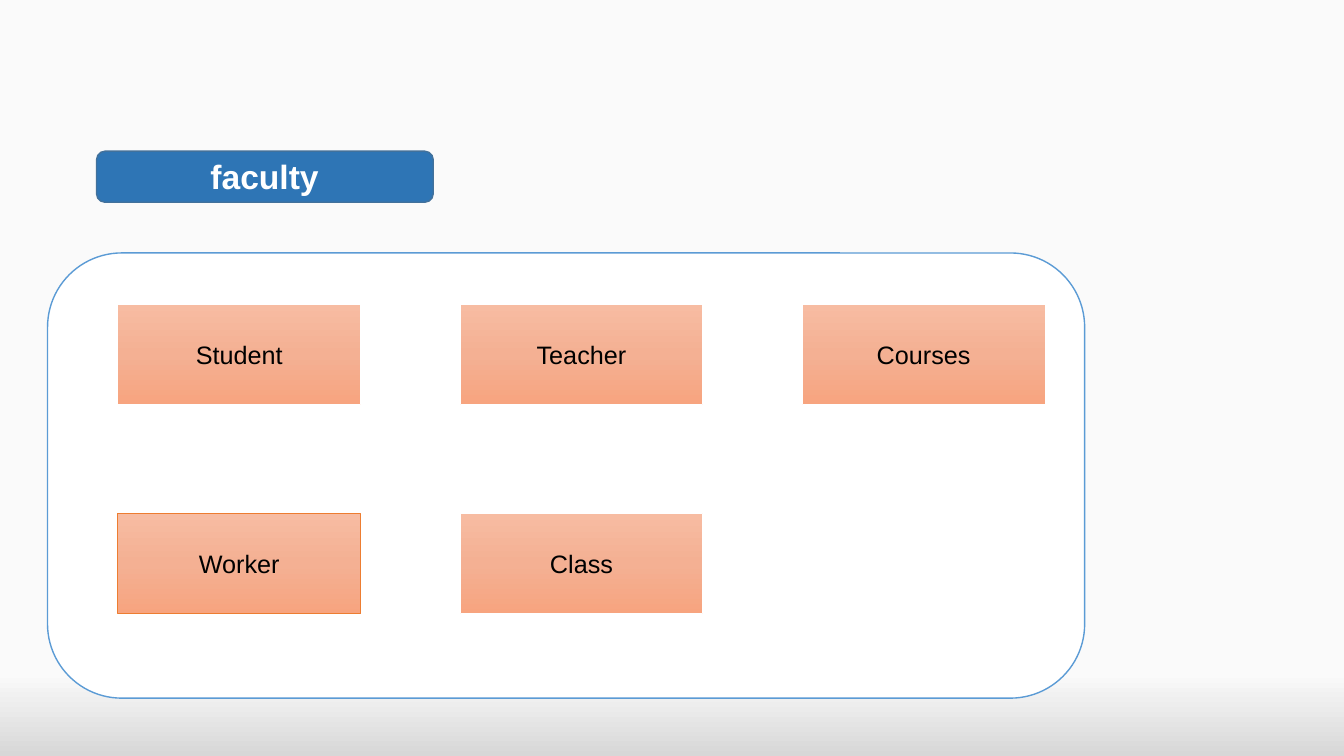
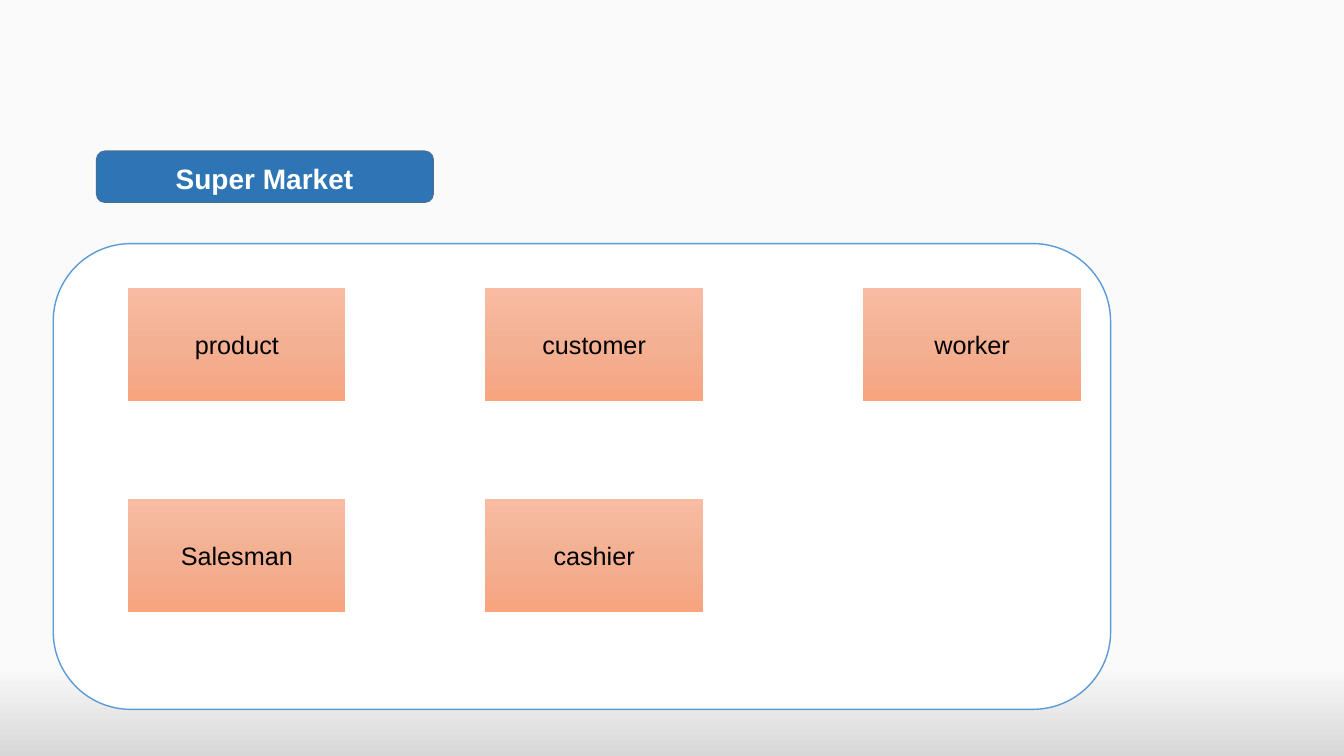
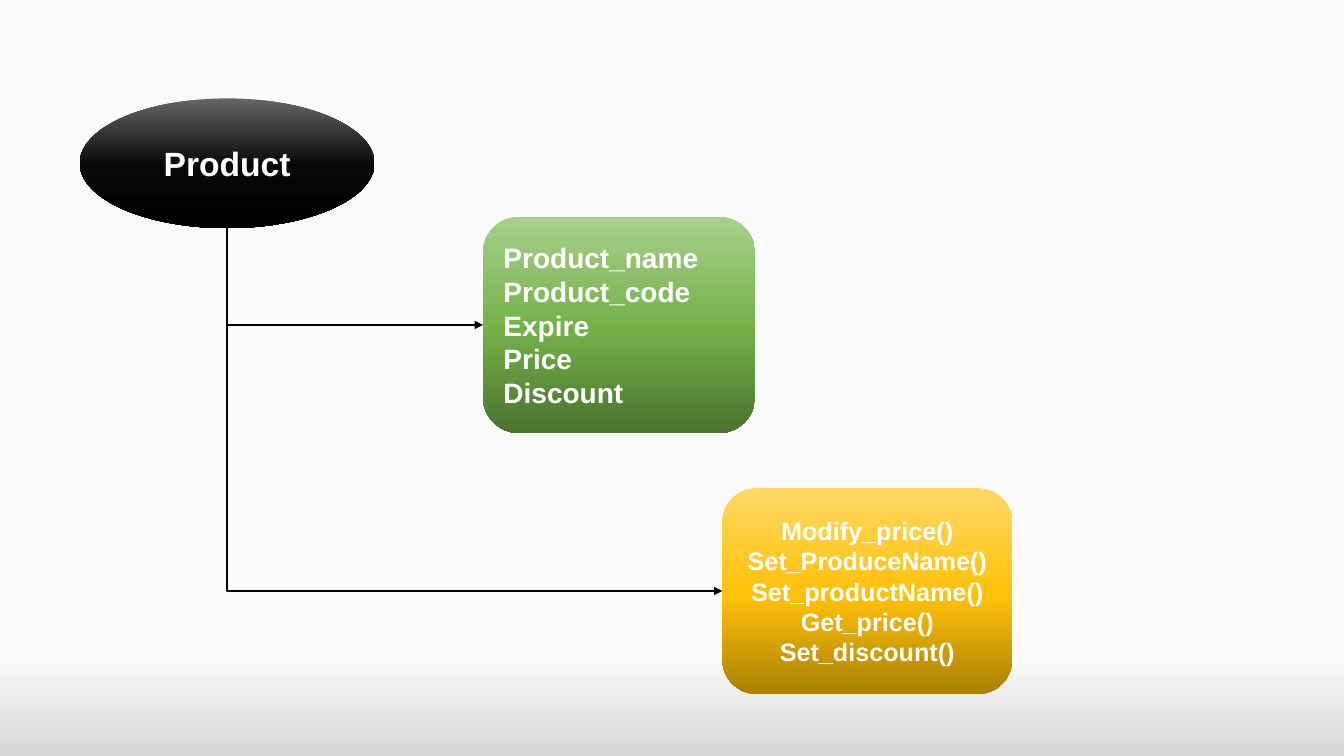
from pptx import Presentation
from pptx.dml.color import RGBColor
from pptx.enum.shapes import MSO_CONNECTOR, MSO_SHAPE
from pptx.enum.text import MSO_ANCHOR, PP_ALIGN
from pptx.oxml.ns import qn
from pptx.util import Pt
from lxml.etree import SubElement

BLACK = RGBColor(0x00, 0x00, 0x00)
WHITE = RGBColor(0xFF, 0xFF, 0xFF)
BAND_BLUE = RGBColor(0x2E, 0x75, 0xB5)
BAND_EDGE = RGBColor(0x42, 0x71, 0x9B)
PANEL_EDGE = RGBColor(0x5B, 0x9B, 0xD5)
ORANGE = RGBColor(0xED, 0x7D, 0x31)
PAGE_LIGHT = RGBColor(0xFA, 0xFA, 0xFA)
PAGE_DARK = RGBColor(0xD7, 0xD7, 0xD7)

PEACH = [(0, RGBColor(0xF7, 0xBC, 0xA2)), (50, RGBColor(0xF4, 0xB0, 0x93)),
         (100, RGBColor(0xF7, 0xA4, 0x7F))]
COAL = [(0, RGBColor(0x66, 0x66, 0x66)), (52, RGBColor(0x07, 0x07, 0x07)),
        (100, BLACK)]
GREEN = [(0, RGBColor(0xA8, 0xD0, 0x8C)), (52, RGBColor(0x73, 0xB1, 0x48)),
         (100, RGBColor(0x4B, 0x73, 0x2F))]
GOLD = [(0, RGBColor(0xFF, 0xD9, 0x66)), (52, RGBColor(0xFF, 0xC1, 0x07)),
        (100, RGBColor(0xAA, 0x80, 0x00))]


def write(box, text, *, size, color=WHITE, bold=False, font="Arial",
          align=PP_ALIGN.CENTER, anchor=MSO_ANCHOR.MIDDLE):
    frame = box.text_frame
    frame.word_wrap = True
    frame.vertical_anchor = anchor
    frame.text = text
    for para in frame.paragraphs:
        para.alignment = align
        for span in para.runs:
            span.font.name = font
            span.font.size = Pt(size)
            span.font.bold = bold
            span.font.color.rgb = color


def shade(fill, element, stops):
    fill.gradient()
    fill.gradient_angle = 270
    stop_list = element.find(".//" + qn("a:gsLst"))
    for old_stop in list(stop_list):
        stop_list.remove(old_stop)
    for percent, color in stops:
        stop = SubElement(stop_list, qn("a:gs"), pos=str(percent * 1000))
        SubElement(stop, qn("a:srgbClr"), val=str(color))


class Board:
    def __init__(self):
        self.deck = Presentation()
        self.deck.slide_width = Pt(960)
        self.deck.slide_height = Pt(540)
        self.page = None

    def add_page(self, fade_start):
        self.page = self.deck.slides.add_slide(self.deck.slide_layouts[6])
        shade(self.page.background.fill, self.page.element,
              [(fade_start, PAGE_LIGHT), (100, PAGE_DARK)])

    def shape(self, kind, place, fill, line=None, weight=1):
        box = self.page.shapes.add_shape(kind, *map(Pt, place))
        box.shadow.inherit = False
        if isinstance(fill, list):
            shade(box.fill, box.element, fill)
        else:
            box.fill.solid()
            box.fill.fore_color.rgb = fill
        if line is None:
            box.line.fill.background()
        else:
            box.line.color.rgb = line
            box.line.width = Pt(weight)
        return box

    def title(self, text, size, top, height):
        self.shape(MSO_SHAPE.ROUNDED_RECTANGLE, (69, 108, 240.5, 36.5),
                   BAND_BLUE, BAND_EDGE)
        box = self.page.shapes.add_textbox(Pt(77), Pt(top), Pt(224), Pt(height))
        write(box, text, size=size, bold=True, anchor=MSO_ANCHOR.TOP)

    def panel(self, *place):
        self.shape(MSO_SHAPE.ROUNDED_RECTANGLE, place, WHITE, PANEL_EDGE)

    def tiles(self, rows, lefts, tops, width, height, outlined=()):
        for top, names in zip(tops, rows):
            for left, name in zip(lefts, names):
                edge = ORANGE if name in outlined else WHITE
                box = self.shape(MSO_SHAPE.RECTANGLE, (left, top, width, height),
                                 PEACH, edge, 0.75)
                write(box, name, size=18, color=BLACK)

    def node(self, kind, place, stops, text, size, align=PP_ALIGN.CENTER):
        box = self.shape(kind, place, stops)
        write(box, text, size=size, bold=True, align=align)
        return box

    def arrow(self, parent, child):
        start_x = parent.left + parent.width // 2
        start_y = parent.top + parent.height
        across = child.left - start_x
        down = child.top + child.height // 2 - start_y
        left = start_x + (across - down) // 2
        top = start_y + (down - across) // 2
        link = self.page.shapes.add_connector(
            MSO_CONNECTOR.ELBOW, left, top, left + down, top + across)
        link.line.color.rgb = BLACK
        link.line.width = Pt(1)
        properties = link.element.spPr
        properties.find(qn("a:prstGeom")).set("prst", "bentConnector2")
        frame = properties.find(qn("a:xfrm"))
        frame.set("rot", "16200000")
        frame.set("flipH", "1")
        SubElement(properties.find(qn("a:ln")), qn("a:tailEnd"), type="triangle")
        SubElement(properties, qn("a:effectLst"))


def main():
    board = Board()

    board.add_page(89)
    board.title("faculty", size=24, top=108, height=36)
    board.panel(34, 180.7, 740.8, 318)
    board.tiles([["Student", "Teacher", "Courses"], ["Worker", "Class"]],
                lefts=[84.2 + 244.4 * column for column in range(3)],
                tops=[217.6, 366.8], width=173.5, height=71.5,
                outlined=["Worker"])

    board.add_page(88)
    board.title("Super Market", size=20, top=111.5, height=31.5)
    board.panel(38, 174, 755.3, 332.7)
    board.tiles([["product", "customer", "worker"], ["Salesman", "cashier"]],
                lefts=[91.2, 346.4, 616.4], tops=[205.5, 356.2],
                width=156, height=81)

    board.add_page(87)
    product = board.node(MSO_SHAPE.OVAL, (57, 70.3, 210.5, 92.7), COAL,
                         "Product", 24)
    fields = board.node(
        MSO_SHAPE.ROUNDED_RECTANGLE, (345, 154.8, 194.4, 154.6), GREEN,
        "Product_name\nProduct_code\nExpire\nPrice\nDiscount", 20,
        PP_ALIGN.LEFT)
    methods = board.node(
        MSO_SHAPE.ROUNDED_RECTANGLE, (516, 348.7, 207, 147), GOLD,
        "Modify_price()\nSet_ProduceName()\nSet_productName()\n"
        "Get_price()\nSet_discount()", 18)
    for child in (fields, methods):
        board.arrow(product, child)

    board.deck.save("out.pptx")


if __name__ == "__main__":
    main()
